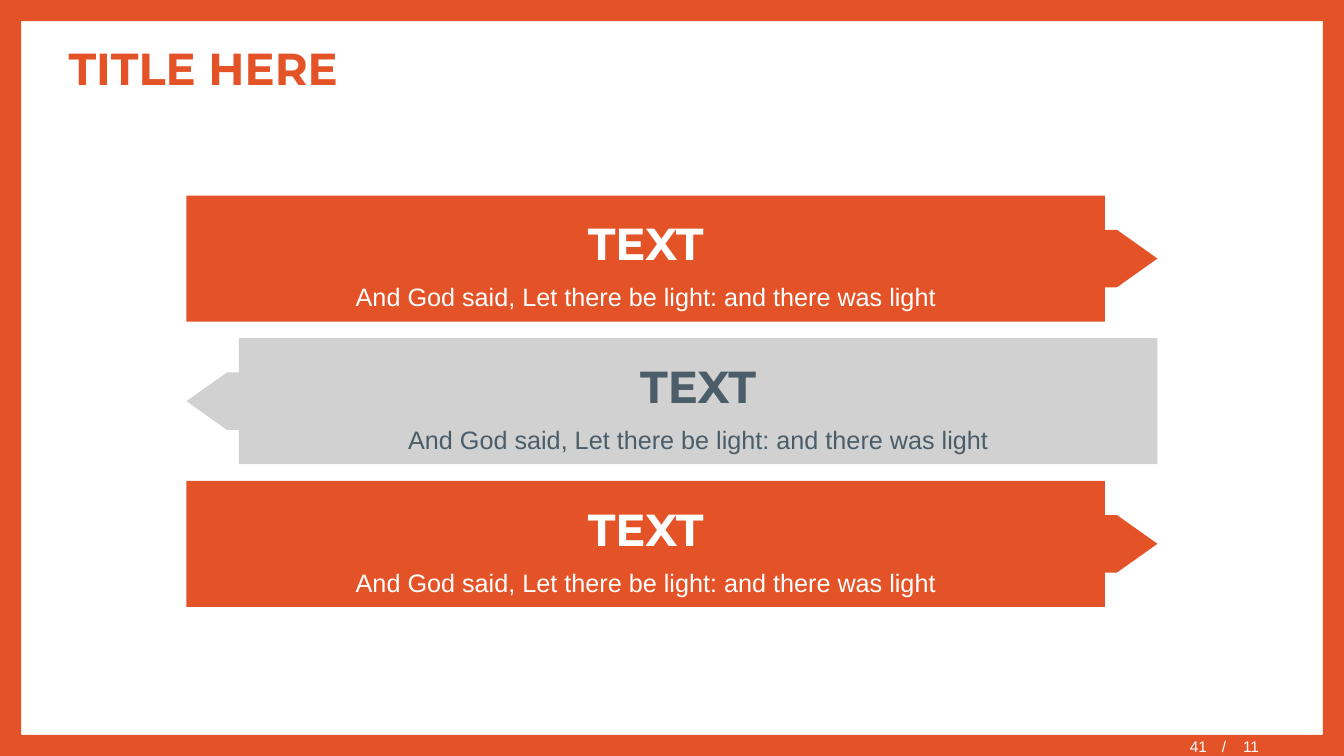
from lxml import etree
from pptx import Presentation
from pptx.dml.color import RGBColor
from pptx.enum.shapes import MSO_SHAPE as Shape
from pptx.enum.text import MSO_ANCHOR as Anchor, PP_ALIGN as Align
from pptx.oxml.ns import qn
from pptx.util import Inches, Pt

ORANGE, GREY, SLATE, WHITE = "E45327", "D1D1D1", "4A5D69", "FFFFFF"
HEADING_FONT, BODY_FONT = "Montserrat", "Arial"
WIDTH, HEIGHT = 13.33, 7.5


def rgb(value):
    return RGBColor.from_string(value)


class SlideBuilder:
    """Holds the style and the current slide."""

    def __init__(self, presentation):
        self.slide = presentation.slides.add_slide(presentation.slide_layouts[5])
        background = self.slide.background.fill
        background.solid()
        background.fore_color.rgb = rgb(WHITE)

    def style(self, paragraph, size, font, color, bold=False, align=Align.LEFT):
        paragraph.alignment = align
        paragraph.font.size = Pt(size)
        paragraph.font.name = font
        paragraph.font.bold = bold
        paragraph.font.color.rgb = rgb(color)

    def title(self, text, left, top, width, height):
        title = self.slide.shapes.title
        title.left, title.top = Inches(left), Inches(top)
        title.width, title.height = Inches(width), Inches(height)
        title.text_frame.text = text
        title.text_frame.vertical_anchor = Anchor.MIDDLE
        self.style(title.text_frame.paragraphs[0], 32, HEADING_FONT, ORANGE, True)

    def shape(self, kind, left, top, width, height, fill, adjustments):
        shape = self.slide.shapes.add_shape(
            kind, Inches(left), Inches(top), Inches(width), Inches(height))
        shape.shadow.inherit = False
        shape.fill.solid()
        shape.fill.fore_color.rgb = rgb(fill)
        shape.line.fill.background()
        for index, value in enumerate(adjustments):
            shape.adjustments[index] = value
        return shape

    def callout(self, kind, top, fill, color, heading, body):
        callout = self.shape(kind, 1.85, top, 9.63, 1.25, fill,
                             (0.5, 0.228, 0.321, 0.946))
        frame = callout.text_frame
        frame.word_wrap = True
        frame.vertical_anchor = Anchor.MIDDLE
        frame.text = f"{heading}\n{body}"
        heading_line, body_line = frame.paragraphs
        self.style(heading_line, 32, HEADING_FONT, color, True, Align.CENTER)
        self.style(body_line, 18, BODY_FONT, color, False, Align.CENTER)
        for line in frame.paragraphs:
            line.line_spacing = 1.2
            line.space_before = line.space_after = Pt(2)

    def footer(self, text, left, width, align, tab=None):
        box = self.slide.shapes.add_textbox(
            Inches(left), Inches(7.31), Inches(width), Inches(0.18))
        frame = box.text_frame
        frame.word_wrap = True
        frame.vertical_anchor = Anchor.MIDDLE
        frame.margin_top = frame.margin_bottom = 0
        frame.text = text
        line = frame.paragraphs[0]
        self.style(line, 11, BODY_FONT, WHITE, align=align)
        if tab:
            tabs = etree.Element(qn("a:tabLst"))
            etree.SubElement(tabs, qn("a:tab"), pos=str(Inches(tab)), algn="l")
            line.font  # defRPr follows the tab list
            line._p.get_or_add_pPr().find(qn("a:defRPr")).addprevious(tabs)


def main():
    presentation = Presentation()
    presentation.slide_width = Inches(WIDTH)
    presentation.slide_height = Inches(HEIGHT)
    builder = SlideBuilder(presentation)

    # Border and title
    builder.shape(Shape.FRAME, 0, 0, WIDTH, HEIGHT, ORANGE, (0.028,))
    builder.title("TITLE HERE", 0.58, 0.28, 12.18, 0.79)

    # Callouts pointing in alternating directions
    forward = (Shape.RIGHT_ARROW_CALLOUT, ORANGE, WHITE)
    backward = (Shape.LEFT_ARROW_CALLOUT, GREY, SLATE)
    for row, (kind, fill, color) in enumerate((forward, backward, forward)):
        builder.callout(kind, 1.94 + row * 1.415, fill, color, "TEXT",
                        "And God said, Let there be light: and there was light")

    # Page number and page count
    builder.footer("41", 9.48, 2.59, Align.RIGHT)
    builder.footer("/\t11", 12.02, 1.31, Align.LEFT, tab=0.21)

    presentation.save("out.pptx")


if __name__ == "__main__":
    main()
